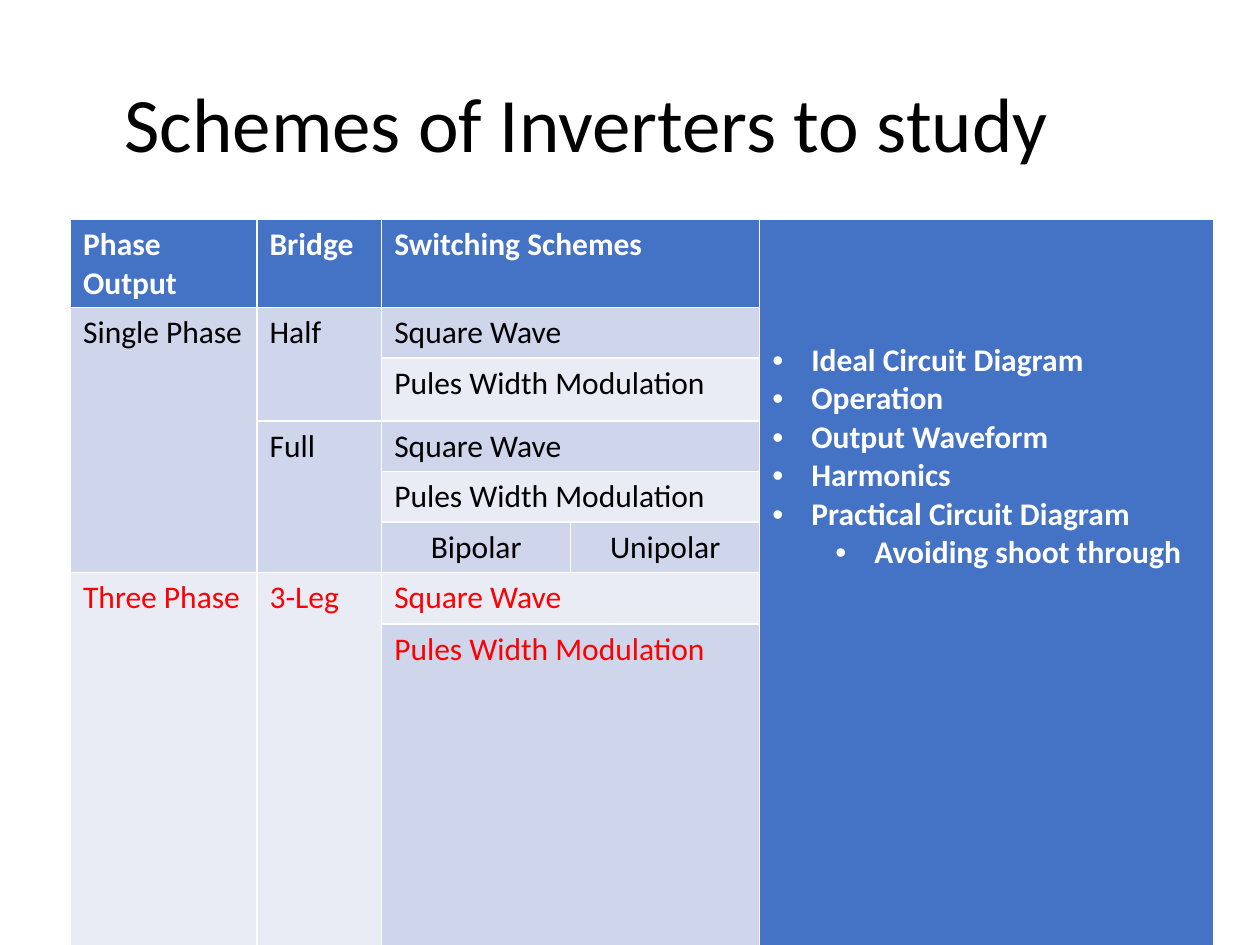
from dataclasses import dataclass

from lxml import etree
from pptx import Presentation
from pptx.dml.color import RGBColor
from pptx.enum.text import MSO_ANCHOR, PP_ALIGN
from pptx.oxml.ns import qn
from pptx.util import Inches, Pt

MIDDLE, TOP = MSO_ANCHOR.MIDDLE, MSO_ANCHOR.TOP
LEFT, CENTER = PP_ALIGN.LEFT, PP_ALIGN.CENTER


@dataclass(frozen=True)
class Theme:
    font: str = "Calibri"
    title_size: int = 44
    table_size: int = 18
    ink: str = "000000"
    light: str = "FFFFFF"
    alert: str = "FF0000"
    header: str = "4472C4"
    band_dark: str = "CFD5EA"
    band_pale: str = "E9EBF5"


THEME = Theme()
SLIDE_SIZE = (10, 7.5)
TITLE = "Schemes of Inverters to study"
TITLE_BOX = (0.89, 0.29, 8.62, 1.45)
TABLE_CORNER = (0.56, 1.74)
COLUMNS = [1.48, 0.99, 1.5, 1.5, 3.6]
ROWS = [0.41, 0.35, 0.5, 0.2, 0.35, 0.35, 0.41, 0.41]

HEADER = dict(fill=THEME.header, color=THEME.light, bold=True)
DARK = dict(fill=THEME.band_dark)
PALE = dict(fill=THEME.band_pale)
CENTERED = dict(DARK, align=CENTER)
ALERT_PALE = dict(PALE, color=THEME.alert)
ALERT_DARK = dict(DARK, color=THEME.alert)

# (row, column, rows spanned, columns spanned, text, format)
CELLS = [
    (0, 0, 1, 1, "Phase Output", HEADER),
    (0, 1, 1, 1, "Bridge", HEADER),
    (0, 2, 1, 2, "Switching Schemes", HEADER),
    (1, 0, 5, 1, "Single Phase", DARK),
    (1, 1, 2, 1, "Half", DARK),
    (1, 2, 1, 2, "Square Wave", DARK),
    (2, 2, 1, 2, "Pules Width Modulation", PALE),
    (3, 1, 3, 1, "Full", DARK),
    (3, 2, 1, 2, "Square Wave", DARK),
    (4, 2, 1, 2, "Pules Width Modulation", PALE),
    (5, 2, 1, 1, "Bipolar", CENTERED),
    (5, 3, 1, 1, "Unipolar", CENTERED),
    (6, 0, 2, 1, "Three Phase", ALERT_PALE),
    (6, 1, 2, 1, "3-Leg", ALERT_PALE),
    (6, 2, 1, 2, "Square Wave", ALERT_PALE),
    (7, 2, 1, 2, "Pules Width Modulation", ALERT_DARK),
]
# (level, text)
TOPICS = [
    (0, "Ideal Circuit Diagram"),
    (0, "Operation"),
    (0, "Output Waveform"),
    (0, "Harmonics"),
    (0, "Practical Circuit Diagram"),
    (1, "Avoiding shoot through"),
]
TOPICS_TOP_MARGIN = 0.97
BULLET_INDENT, LEVEL_STEP = 0.31, 0.5


def color_of(value):
    return RGBColor.from_string(value)


def write(para, text, *, size=THEME.table_size, color=THEME.ink, bold=False,
          align=LEFT):
    para.alignment = align
    span = para.add_run()
    span.text = text
    span.font.name = THEME.font
    span.font.size = Pt(size)
    span.font.bold = bold
    span.font.color.rgb = color_of(color)


def add_bullet(para, level):
    para.level = level
    props = para._p.get_or_add_pPr()
    props.set("marL", str(Inches(BULLET_INDENT + level * LEVEL_STEP)))
    props.set("indent", str(-Inches(BULLET_INDENT)))
    etree.SubElement(props, qn("a:buFont")).set("typeface", "Arial")
    etree.SubElement(props, qn("a:buChar")).set("char", "•")


def open_cell(table, row, column, height, width, fill):
    """Merge the given span, fill it and return its first cell."""
    cell = table.cell(row, column)
    if height * width > 1:
        cell.merge(table.cell(row + height - 1, column + width - 1))
    cell.fill.solid()
    cell.fill.fore_color.rgb = color_of(fill)
    cell.vertical_anchor = TOP
    return cell


def add_title(page):
    box = page.shapes.add_textbox(*map(Inches, TITLE_BOX))
    frame = box.text_frame
    frame.word_wrap = True
    frame.vertical_anchor = MIDDLE
    para = frame.paragraphs[0]
    para.line_spacing = 0.9
    write(para, TITLE, size=THEME.title_size)


def add_schemes(page):
    table = page.shapes.add_table(
        len(ROWS), len(COLUMNS), *map(Inches, TABLE_CORNER),
        Inches(sum(COLUMNS)), Inches(sum(ROWS))).table
    table.horz_banding = False
    for column, width in zip(table.columns, COLUMNS):
        column.width = Inches(width)
    for row, height in zip(table.rows, ROWS):
        row.height = Inches(height)

    for row, column, height, width, text, style in CELLS:
        style = dict(style)
        cell = open_cell(table, row, column, height, width, style.pop("fill"))
        write(cell.text_frame.paragraphs[0], text, **style)

    cell = open_cell(table, 0, len(COLUMNS) - 1, len(ROWS), 1, THEME.header)
    cell.margin_top = Inches(TOPICS_TOP_MARGIN)
    frame = cell.text_frame
    for index, (level, text) in enumerate(TOPICS):
        para = frame.add_paragraph() if index else frame.paragraphs[0]
        add_bullet(para, level)
        write(para, text, color=THEME.light, bold=True)


def main():
    deck = Presentation()
    deck.slide_width, deck.slide_height = map(Inches, SLIDE_SIZE)
    page = deck.slides.add_slide(deck.slide_layouts[6])
    add_title(page)
    add_schemes(page)
    deck.save("out.pptx")


if __name__ == "__main__":
    main()
